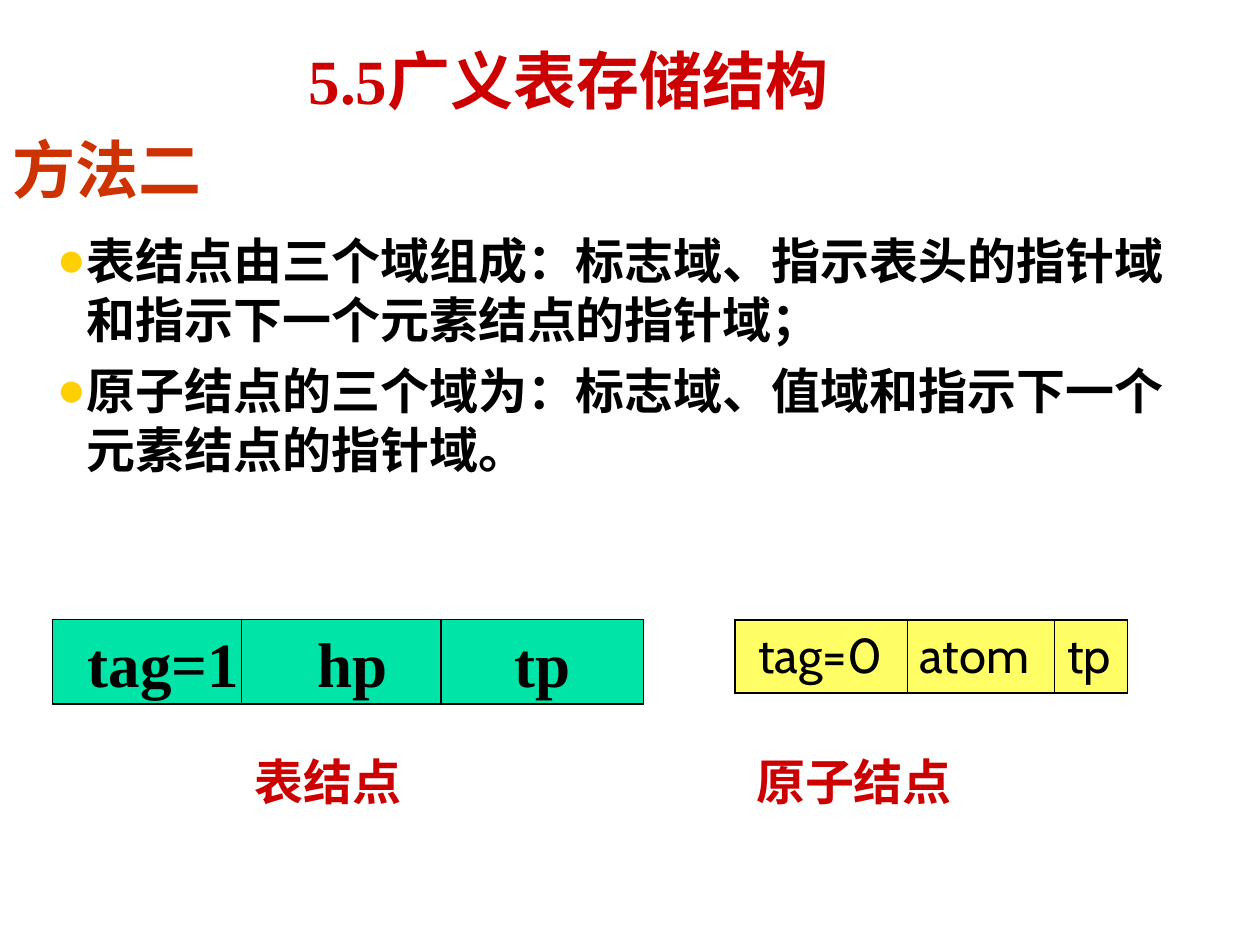
from pptx import Presentation
from pptx.dml.color import RGBColor
from pptx.enum.shapes import MSO_SHAPE
from pptx.enum.text import MSO_ANCHOR, PP_ALIGN
from pptx.oxml import parse_xml
from pptx.oxml.ns import nsdecls
from pptx.util import Pt

CJK = "Noto Sans CJK SC"
SERIF = "Times New Roman"
RED, BLACK = "CC0000", "000000"

TITLE = "5.5广义表存储结构"
METHOD = "方法二"
DEFINITIONS = [
    "表结点由三个域组成：标志域、指示表头的指针域和指示下一个元素结点的指针域；",
    "原子结点的三个域为：标志域、值域和指示下一个元素结点的指针域。",
]
CAPTIONS = "表结点\t原子结点"
LIST_FIELDS = [("tag=1", 30.2, 126.7), ("hp", 138.2, 126.7), ("tp", 252, 115.9)]
ATOM_FIELDS = [("tag=0", 98.6, 13.5), ("atom", 84.2, 7.2), ("tp", 41.8, 7.2)]
FIELD_TOP, LIST_HEIGHT, ATOM_LEFT, ATOM_HEIGHT = 354.2, 48.2, 419.8, 41.8

TITLE_FORMAT = dict(size=Pt(36), name=SERIF, bold=True)
METHOD_FORMAT = dict(size=Pt(36), name=CJK, bold=True)
BODY_FORMAT = dict(size=Pt(28), name=CJK, bold=True)
CAPTION_FORMAT = dict(size=Pt(28), name=SERIF, bold=True)
ATOM_FORMAT = dict(size=Pt(28), name="Cabin", bold=False)
BOX_FORMAT = dict(word_wrap=True, vertical_anchor=MSO_ANCHOR.TOP,
                  margin_left=Pt(7.2), margin_right=Pt(7.2),
                  margin_top=Pt(3.6), margin_bottom=Pt(3.6))
FIELD_FORMAT = {**BOX_FORMAT, "word_wrap": False, "vertical_anchor": MSO_ANCHOR.MIDDLE}


def hex_color(value):
    return RGBColor.from_string(value)


def apply_format(target, values):
    for key, value in values.items():
        setattr(target, key, value)


def element(tag, content):
    return parse_xml(f"<a:{tag} {nsdecls('a')} {content}</a:{tag}>")


def write(paragraph, text, style, color):
    run = paragraph.add_run()
    run.text = text
    apply_format(run.font, style)
    run.font.color.rgb = hex_color(color)
    run.font._element.find("{*}latin").addnext(element("ea", f'typeface="{CJK}">'))


def fill_box(box, place, texts, style, color):
    box.left, box.top, box.width, box.height = map(Pt, place)
    frame = box.text_frame
    apply_format(frame, BOX_FORMAT)
    for index, text in enumerate(texts):
        paragraph = frame.add_paragraph() if index else frame.paragraphs[0]
        paragraph.alignment = PP_ALIGN.LEFT
        paragraph.line_spacing = Pt(round(style["size"].pt * 1.2, 1))
        paragraph.space_before = Pt(7 if index else 0)
        write(paragraph, text, style, color)
    return frame.paragraphs


def add_bullet(paragraph):
    properties = paragraph._p.get_or_add_pPr()
    properties.set("marL", str(Pt(17.25)))
    properties.set("indent", str(-Pt(17.25)))
    properties.append(element("buClr", '><a:srgbClr val="FFCF01"/>'))
    properties.append(element("buFont", f'typeface="{SERIF}">'))
    properties.append(element("buChar", 'char="●">'))


def add_list_node(slide):
    node = slide.shapes.add_group_shape()
    for label, left, width in LIST_FIELDS:
        field = node.shapes.add_shape(MSO_SHAPE.RECTANGLE, Pt(left), Pt(FIELD_TOP),
                                      Pt(width), Pt(LIST_HEIGHT))
        field.shadow.inherit = False
        field.fill.solid()
        field.fill.fore_color.rgb = hex_color("00E4A8")
        field.line.color.rgb = hex_color(BLACK)
        field.line.width = Pt(0.75)
        apply_format(field.text_frame, FIELD_FORMAT)
        paragraph = field.text_frame.paragraphs[0]
        paragraph.alignment = PP_ALIGN.CENTER
        write(paragraph, label, TITLE_FORMAT, BLACK)


def add_atom_node(slide):
    total = sum(width for _, width, _ in ATOM_FIELDS)
    node = slide.shapes.add_table(1, len(ATOM_FIELDS), Pt(ATOM_LEFT), Pt(FIELD_TOP),
                                  Pt(total), Pt(ATOM_HEIGHT)).table
    last = len(ATOM_FIELDS) - 1
    for index, (label, width, margin) in enumerate(ATOM_FIELDS):
        node.columns[index].width = Pt(width)
        cell = node.cell(0, index)
        cell.margin_left = Pt(margin)
        cell.fill.solid()
        cell.fill.fore_color.rgb = hex_color("FFFF65")
        write(cell.text_frame.paragraphs[0], label, ATOM_FORMAT, BLACK)
        edges = [("lnL", index == 0), ("lnR", index == last), ("lnT", True), ("lnB", True)]
        for position, (edge, outer) in enumerate(edges):
            weight = Pt(1.08 if outer else 0.45)
            border = f'w="{weight}"><a:solidFill><a:srgbClr val="{BLACK}"/></a:solidFill>'
            cell._tc.get_or_add_tcPr().insert(position, element(edge, border))


def main():
    deck = Presentation()
    deck.slide_width, deck.slide_height = Pt(720), Pt(540)
    slide = deck.slides.add_slide(deck.slide_layouts[5])

    def add_text(*content):
        return fill_box(slide.shapes.add_textbox(0, 0, 0, 0), *content)

    fill_box(slide.shapes.title, (169.2, 20.2, 340, 50.4), [TITLE], TITLE_FORMAT, RED)
    add_text((0, 71.3, 131.8, 50.4), [METHOD], METHOD_FORMAT, "CC3300")
    for paragraph in add_text((25.2, 128.2, 668.9, 189.4), DEFINITIONS, BODY_FORMAT, BLACK):
        add_bullet(paragraph)
    add_list_node(slide)
    add_atom_node(slide)
    captions = add_text((138.2, 426.2, 468, 74.9), [CAPTIONS], CAPTION_FORMAT, RED)
    captions[0]._p.get_or_add_pPr().append(
        element("tabLst", f'><a:tab pos="{Pt(286.8)}" algn="l"/>'))
    deck.save("out.pptx")


if __name__ == "__main__":
    main()
